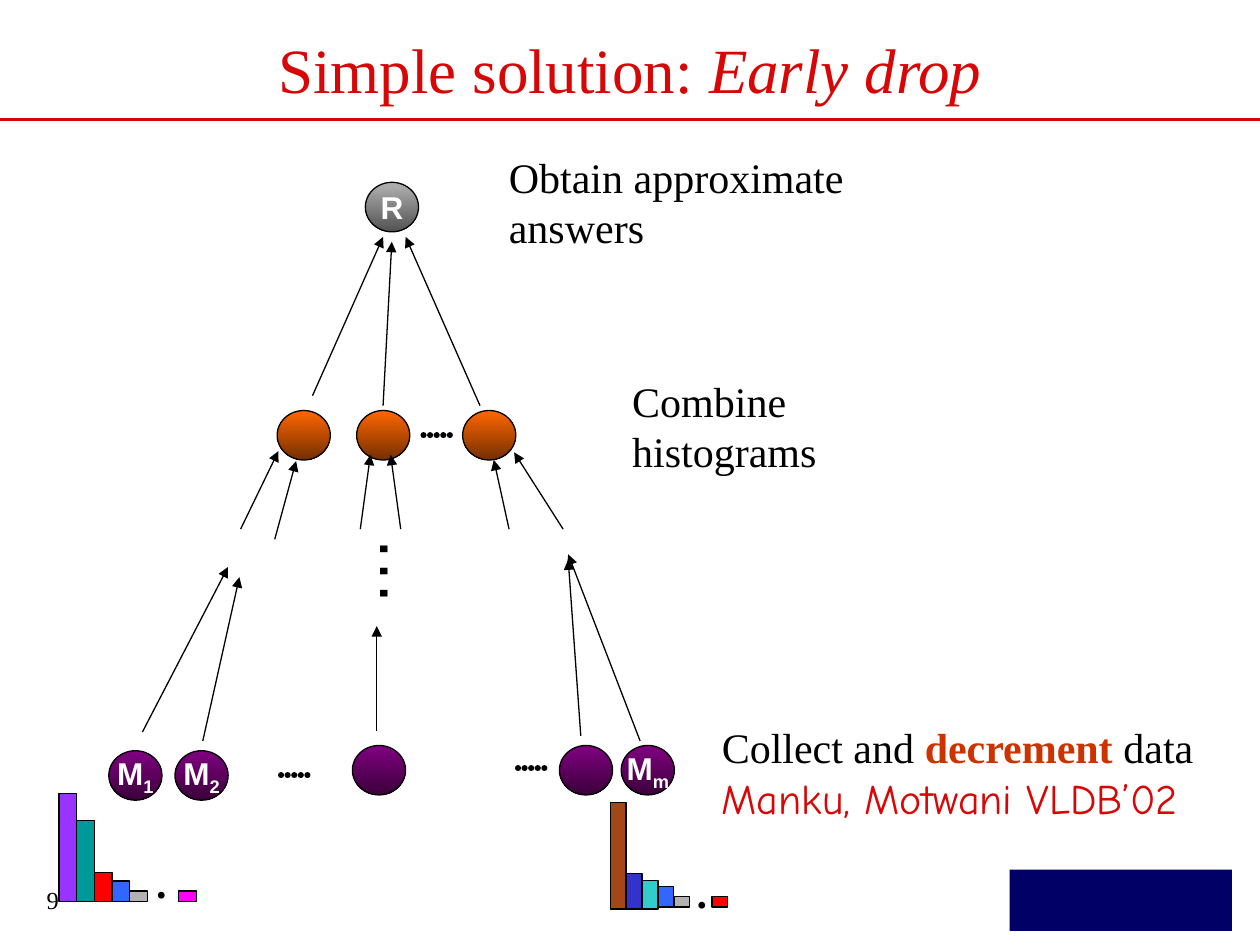
from lxml.etree import SubElement
from pptx import Presentation
from pptx.dml.color import RGBColor
from pptx.enum.shapes import MSO_CONNECTOR, MSO_SHAPE
from pptx.enum.text import MSO_ANCHOR, PP_ALIGN
from pptx.oxml.ns import qn
from pptx.util import Pt

SERIF, SANS = "Times New Roman", "Arial"
BLACK, WHITE, RED = "000000", "FFFFFF", "D70707"
PURPLE = ("800080", "3B003B")
ORANGE = ("FF6600", "752F00")
GREY = ("B2B2B2", "525252")
NODE_WIDTH, NODE_HEIGHT = 30.4, 28.3


def color(value):
    return RGBColor.from_string(value)


def add_span(para, text, size, ink=BLACK, face=SERIF, bold=False,
             italic=False, baseline=None):
    span = para.add_run()
    span.text = text
    span.font.size = Pt(size)
    span.font.name = face
    span.font.bold = bold
    span.font.italic = italic
    span.font.color.rgb = color(ink)
    if baseline:
        span.font._element.set("baseline", str(baseline))


def add_text(page, left, top, width, height, spans, align=PP_ALIGN.LEFT,
             anchor=MSO_ANCHOR.TOP, wrap=True, margins=(7.2, 3.6)):
    box = page.shapes.add_textbox(Pt(left), Pt(top), Pt(width), Pt(height))
    frame = box.text_frame
    frame.word_wrap = wrap
    frame.vertical_anchor = anchor
    frame.margin_left = frame.margin_right = Pt(margins[0])
    frame.margin_top = frame.margin_bottom = Pt(margins[1])
    para = frame.paragraphs[0]
    para.alignment = align
    for text, size, style in spans:
        add_span(para, text, size, **style)
    return box


def add_line(page, x1, y1, x2, y2, ink=BLACK, weight=0.75):
    line = page.shapes.add_connector(
        MSO_CONNECTOR.STRAIGHT, Pt(x1), Pt(y1), Pt(x2), Pt(y2))
    line.line.color.rgb = color(ink)
    line.line.width = Pt(weight)
    SubElement(line._element.spPr, qn("a:effectLst"))
    return line


def add_arrow(page, *ends):
    arrow = add_line(page, *ends)
    SubElement(arrow.line._get_or_add_ln(), qn("a:tailEnd"), type="triangle")


def add_dots(page, left, y):
    """Draw a row of round dots that nearly touch."""
    dots = add_line(page, left, y, left + 15.1, y, weight=3.5)
    stroke = dots.line._get_or_add_ln()
    stroke.set("cap", "rnd")
    dash = SubElement(stroke, qn("a:custDash"))
    SubElement(dash, qn("a:ds"), d="100000", sp="8000")


def add_outlined(page, kind, left, top, width, height):
    shape = page.shapes.add_shape(
        kind, Pt(left), Pt(top), Pt(width), Pt(height))
    shape.shadow.inherit = False
    shape.line.color.rgb = color(BLACK)
    shape.line.width = Pt(0.75)
    return shape


def add_node(page, left, top, shades, label="", subscript=""):
    node = add_outlined(page, MSO_SHAPE.OVAL, left, top, NODE_WIDTH, NODE_HEIGHT)
    node.fill.gradient()
    node.fill.gradient_angle = 270
    for stop, shade, position in zip(node.fill.gradient_stops, shades, (0, 1)):
        stop.color.rgb = color(shade)
        stop.position = position
    if label:
        frame = node.text_frame
        frame.word_wrap = False
        frame.vertical_anchor = MSO_ANCHOR.MIDDLE
        para = frame.paragraphs[0]
        para.alignment = PP_ALIGN.CENTER
        add_span(para, label, 18, WHITE, SANS, bold=True)
        if subscript:
            add_span(para, subscript, 18, WHITE, SANS, bold=True, baseline=-25000)


def add_bars(page, left, base, width, bars):
    """Draw bars side by side, all standing on the same base."""
    for index, (height, fill) in enumerate(bars):
        bar = add_outlined(page, MSO_SHAPE.RECTANGLE, left + index * width,
                           base - height, width, height)
        bar.fill.solid()
        bar.fill.fore_color.rgb = color(fill)
        if fill == "993300":
            tint = bar._element.spPr.find(".//" + qn("a:srgbClr"))
            SubElement(tint, qn("a:alpha"), val="90000")


def add_frame(page):
    # Rule below the title, plain block in the corner
    add_line(page, 0, 68.4, 720, 68.4, RED, 1.5)
    block = page.shapes.add_shape(
        MSO_SHAPE.RECTANGLE, Pt(577), Pt(497), Pt(127), Pt(35))
    block.shadow.inherit = False
    block.fill.solid()
    block.fill.fore_color.rgb = color("000066")
    block.line.fill.background()


def add_tree(page):
    # Nodes, level by level
    add_node(page, 208.8, 104.2, GREY, "R")
    for left in (158.4, 203.8, 264.4):
        add_node(page, left, 234.6, ORANGE)
    for left, top, label, subscript in (
            (62.2, 429, "M", "1"), (100, 429, "M", "2"), (201.4, 426, "", ""),
            (319.7, 426, "", ""), (355, 426, "M", "m")):
        add_node(page, left, top, PURPLE, label, subscript)

    # Omitted nodes and levels
    for left, y in ((242, 248.8), (160.6, 443), (296, 439)):
        add_dots(page, left, y)
    levels = add_text(page, 199.3, 299.5, 61.9, 47.5,
                      [("…", 40, {"face": SANS})], wrap=False,
                      margins=(3.6, 7.2))
    levels.text_frame._txBody.bodyPr.set("vert", "eaVert")

    # Arrows into the root, the middle level and the omitted levels
    for ends in (
            (178.6, 226.1, 218.9, 135.4), (218.9, 231.8, 223.9, 138.2),
            (274.3, 231.8, 231.8, 135.4),
            (137.5, 302.4, 159.1, 257.8), (157, 308.2, 169.2, 263.5),
            (205.9, 302.4, 211.7, 259.9), (229, 302.4, 223.2, 259.9),
            (290.9, 302.4, 282.2, 262.8), (321.8, 302.4, 293.8, 258.5),
            (81.4, 418.3, 130.3, 324), (115.9, 423.4, 136.8, 329.8),
            (215.3, 417.6, 215.3, 357.8), (331.9, 420.5, 324.7, 319.7),
            (365.8, 423.4, 324.7, 316.8)):
        add_arrow(page, *ends)


def add_histograms(page):
    add_bars(page, 33.8, 515.2, 10.1,
             [(61.9, "9933FF"), (46.5, "009999"), (16.6, "FF0000"),
              (11.8, "3366FF"), (6.1, "B2B2B2")])
    add_bars(page, 102.2, 515.2, 10.1, [(6.1, "FF00FF")])
    add_bars(page, 348.7, 519.5, 9.1,
             [(60.8, "993300"), (20.3, "3333CC"), (16.4, "33CCCC")])
    add_bars(page, 376, 518.4, 9.1, [(11.8, "3366FF"), (6, "B2B2B2")])
    add_bars(page, 406.8, 518.4, 9.1, [(6, "FF0000")])
    for left, top in ((391, 491.8), (82.1, 486)):
        add_text(page, left, top, 25.2, 36, [(".", 24, {"bold": True})])


def add_notes_beside_tree(page):
    add_text(page, 283.7, 82.8, 212.4, 64.8,
             [("Obtain approximate answers", 24, {})])
    add_text(page, 354.2, 211, 139, 64.8, [("Combine histograms", 24, {})])
    add_text(page, 405.4, 409, 314.6, 64.8,
             [("Collect and ", 24, {}),
              ("decrement", 24, {"ink": "CC3300", "bold": True}),
              (" data ", 24, {}),
              ("Manku, Motwani VLDB’02", 24,
               {"ink": RED, "face": "Comic Neue"})])


def main():
    deck = Presentation()
    deck.slide_width, deck.slide_height = Pt(720), Pt(540)
    page = deck.slides.add_slide(deck.slide_layouts[6])
    add_frame(page)
    # Title
    add_text(page, 54, 12.2, 612, 54,
             [("Simple solution: ", 36, {"ink": RED}),
              ("Early drop", 36, {"ink": RED, "italic": True})],
             PP_ALIGN.CENTER, MSO_ANCHOR.MIDDLE)
    add_tree(page)
    add_notes_beside_tree(page)
    add_histograms(page)
    # Page number
    add_text(page, 19.6, 502.2, 150, 37.4, [("9", 14, {})])
    deck.save("out.pptx")


if __name__ == "__main__":
    main()
